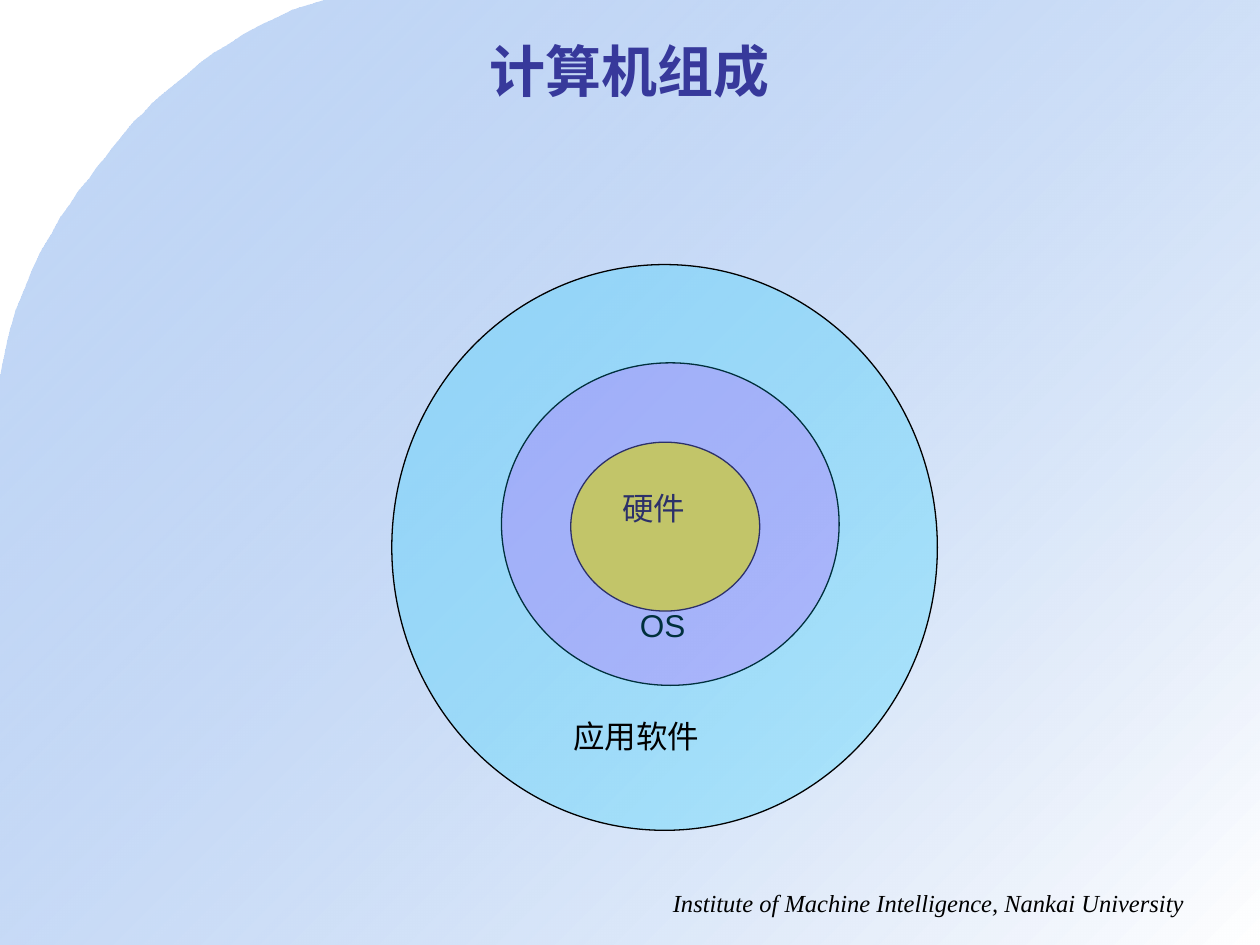
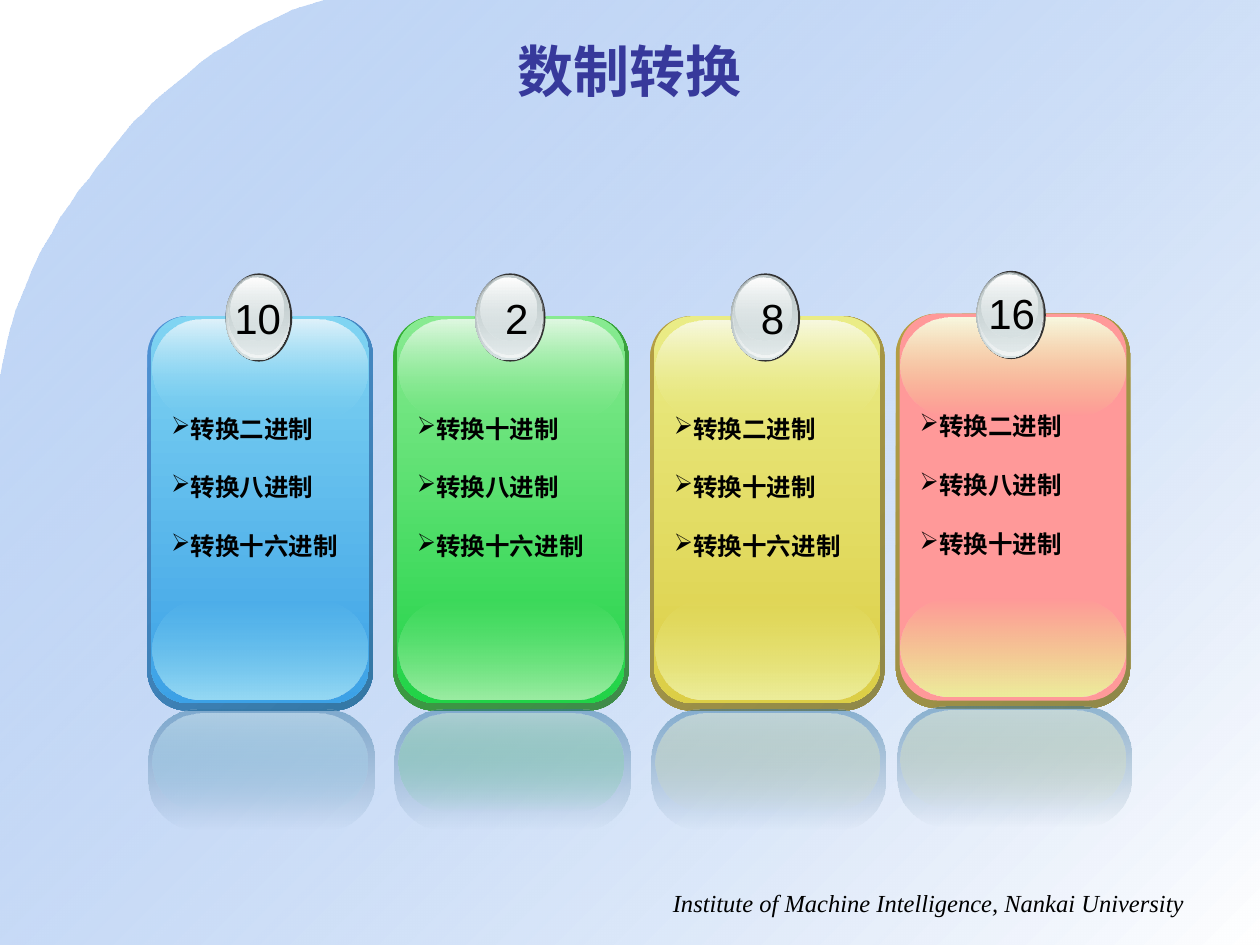
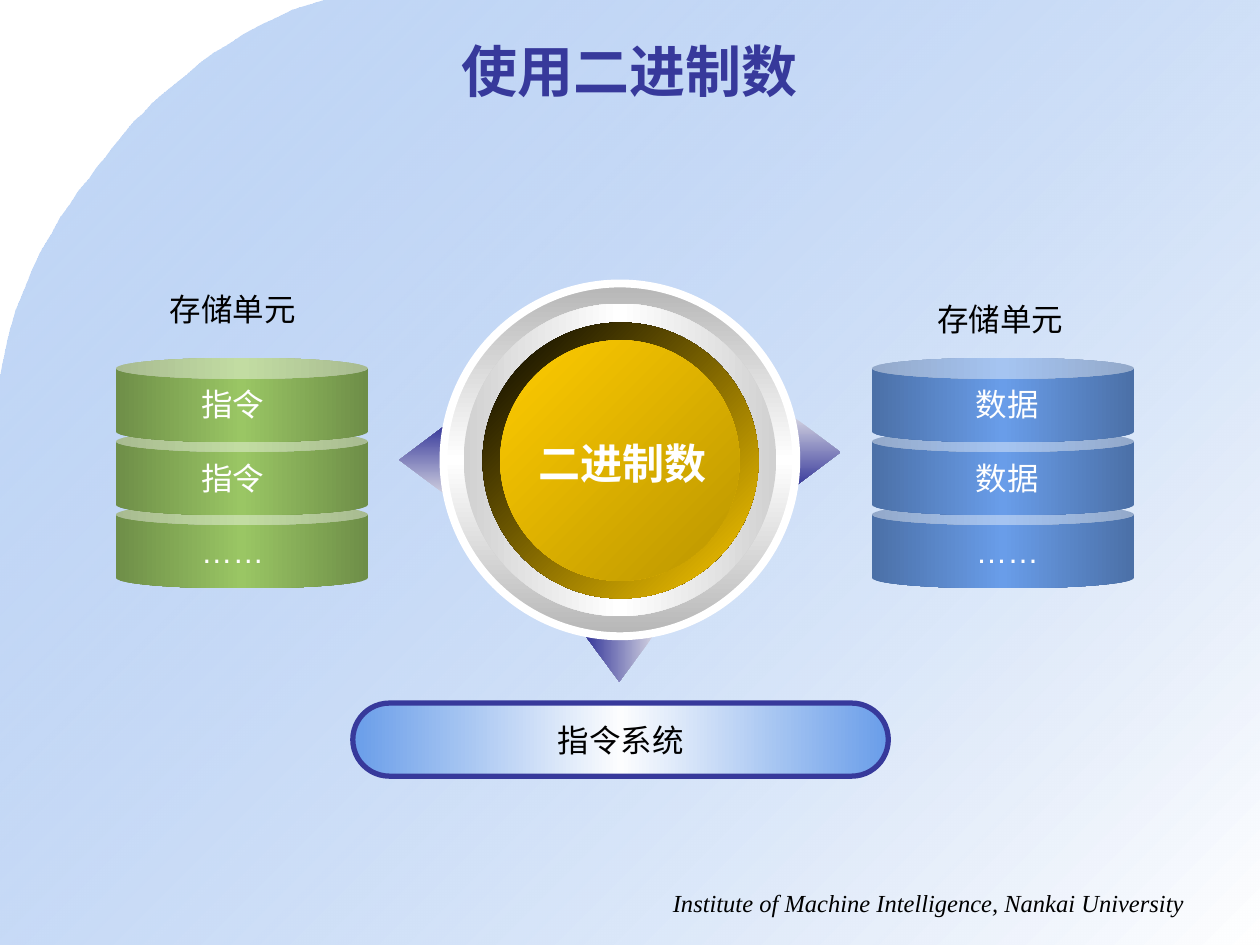
"""Build three slides on computer structure, number bases and binary storage."""
from dataclasses import dataclass

from lxml import etree
from pptx import Presentation
from pptx.dml.color import RGBColor
from pptx.enum.shapes import MSO_SHAPE
from pptx.enum.text import MSO_ANCHOR, PP_ALIGN
from pptx.oxml.ns import qn
from pptx.util import Pt

PX = 9144
BLANK_LAYOUT = 6
ELLIPSE = MSO_SHAPE.OVAL
ROUNDED = MSO_SHAPE.ROUNDED_RECTANGLE
CAN = MSO_SHAPE.CAN
UP_ARROW = MSO_SHAPE.UP_ARROW
LEFT, CENTER, RIGHT = PP_ALIGN.LEFT, PP_ALIGN.CENTER, PP_ALIGN.RIGHT
TOP, MIDDLE = MSO_ANCHOR.TOP, MSO_ANCHOR.MIDDLE


@dataclass(frozen=True)
class Theme:
    """Colours, fonts and type sizes; a colour may carry /opacity in percent."""
    title: str = "37399B"
    ink: str = "000000"
    paper: str = "FFFFFF"
    backdrop: tuple = ("699DE9/39", "FFFFFF")
    body_font: str = "Arial"
    list_font: str = "DejaVu Sans"
    footer_font: str = "Times New Roman"
    title_size: int = 32
    large_size: int = 24
    body_size: int = 18
    small_size: int = 14
    hardware: str = "FFFF00"
    system: str = "FF00FF/23"
    software: str = "00CCFF/24"
    reflection: tuple = ("3477A4/50", "255575/0")
    arrow: tuple = ("CFCFDF", "37399B")
    instruction: tuple = ("6E8E48", "9AC664", "6E8E48")
    data: tuple = ("4B70A7", "699DE9", "4B70A7")
    bar: tuple = ("699DE9", "FCFDFE", "699DE9")


@dataclass(frozen=True)
class Palette:
    """Colours of one glossy card."""
    edge: tuple
    face: tuple
    glow: str
    lower: str
    upper: str
    mirror: tuple


@dataclass(frozen=True)
class Card:
    """Place, number and conversions of one card."""
    left: int
    top: int
    width: int
    number: str
    number_box: tuple
    targets: tuple
    palette: Palette


THEME = Theme()
BLUE = Palette(("4E91D4", "3477A4"), ("80D4F2", "3CA1E6"), "80D4F2",
               "97DAF4", "DFF2FB", ("DFF2FB/50", "80D4F2/0"))
GREEN = Palette(("34B034", "3F8B4A"), ("88EA91", "21D347"), "88EA91",
                "9DEDA4", "E0F8E2", ("D6F1D8/50", "21D347/0"))
YELLOW = Palette(("B59F43", "8F8849"), ("EAEC86", "DCCE46"), "EAEC86",
                 "EDEE9C", "F8F9E0", ("F8F9E0/50", "EAEC86/0"))
RED = Palette(YELLOW.edge, ("FF9999",), YELLOW.glow,
              YELLOW.lower, YELLOW.upper, YELLOW.mirror)

TO_BINARY, TO_OCTAL = "转换二进制", "转换八进制"
TO_DECIMAL, TO_HEX = "转换十进制", "转换十六进制"
CARDS = (
    Card(117, 251, 179, "10", (174, 227, 61, 50),
         (TO_BINARY, TO_OCTAL, TO_HEX), BLUE),
    Card(312, 251, 187, "2", (391, 227, 31, 50),
         (TO_DECIMAL, TO_OCTAL, TO_HEX), GREEN),
    Card(516, 251, 186, "8", (594, 227, 30, 50),
         (TO_BINARY, TO_DECIMAL, TO_HEX), YELLOW),
    Card(711, 249, 186, "16", (773, 223, 60, 50),
         (TO_BINARY, TO_OCTAL, TO_DECIMAL), RED),
)
BADGE_LAYERS = (
    (0, 0, 0, 70, ("333333",)),
    (0, 1, 2, 68, ("99A1A2", "D6E1E2")),
    (1, 1, 3, 66, ("D6E1E2/0", "F2F5F5")),
    (2, 2, 5, 62, ("C1CBCC", "D6E1E2/48")),
    (4, 3, 11, 50, ("FFFFFF", "D6E1E2/38")),
)
DIAL_RINGS = (
    ((368, 241, 248, 248), ("D1D1D1", "FFFFFF", "D1D1D1"), 0),
    ((383, 256, 219, 219), ("000000", "FFCC00"), 45),
    ((397, 270, 190, 191), ("FFCC00", "BA9500"), 45),
)


def emu(*lengths):
    """Turn px lengths into EMU."""
    return [length * PX for length in lengths]


def set_opacity(color_element, opacity):
    """Add an opacity in percent to a colour element."""
    if opacity:
        alpha = etree.SubElement(color_element, qn("a:alpha"))
        alpha.set("val", str(int(opacity) * 1000))


def paint(shape, stops, angle=90):
    """Fill a shape with one colour or an evenly spaced clockwise gradient."""
    properties = shape.element.spPr
    if len(stops) == 1:
        color, _, opacity = stops[0].partition("/")
        shape.fill.solid()
        shape.fill.fore_color.rgb = RGBColor.from_string(color)
        set_opacity(properties.find(".//" + qn("a:srgbClr")), opacity)
        return
    shape.fill.gradient()
    shape.fill.gradient_angle = -angle % 360
    stop_list = properties.find(".//" + qn("a:gsLst"))
    for old_stop in list(stop_list):
        stop_list.remove(old_stop)
    for index, stop in enumerate(stops):
        color, _, opacity = stop.partition("/")
        stop_element = etree.SubElement(stop_list, qn("a:gs"))
        stop_element.set("pos", str(100000 * index // (len(stops) - 1)))
        color_element = etree.SubElement(stop_element, qn("a:srgbClr"))
        color_element.set("val", color)
        set_opacity(color_element, opacity)


def add_shape(shapes, kind, box, stops, angle=90, adjustments=(), line=None,
              line_width=0.75, rotation=0):
    """Add a painted preset shape without shadow."""
    shape = shapes.add_shape(kind, *emu(*box))
    shape.shadow.inherit = False
    shape.rotation = rotation
    for index, value in enumerate(adjustments):
        shape.adjustments[index] = value
    paint(shape, stops, angle)
    if line:
        shape.line.color.rgb = RGBColor.from_string(line)
        shape.line.width = Pt(line_width)
    else:
        shape.line.fill.background()
    return shape


def write_text(shape, text, size=THEME.body_size, font=THEME.body_font,
               color=THEME.ink, bold=False, italic=False, align=LEFT,
               anchor=TOP, spacing=None, bullet=None, wrap=True):
    """Write one paragraph per line of text in a single format."""
    frame = shape.text_frame
    frame.word_wrap = wrap
    frame.vertical_anchor = anchor
    frame.text = text
    for paragraph in frame.paragraphs:
        paragraph.alignment = align
        if spacing:
            paragraph.line_spacing = spacing
        if bullet:
            marker = etree.SubElement(
                paragraph._p.get_or_add_pPr(), qn("a:buChar"))
            marker.set("char", bullet)
        for run in paragraph.runs:
            run.font.size = Pt(size)
            run.font.bold = bold
            run.font.italic = italic
            run.font.color.rgb = RGBColor.from_string(color)
            run.font.name = font
            east_asian = etree.SubElement(run.font._element, qn("a:ea"))
            east_asian.set("typeface", font)


def add_text(shapes, box, text, **text_format):
    """Add a text box."""
    write_text(shapes.add_textbox(*emu(*box)), text, **text_format)


def curve_points(start, first, second, end, steps=16):
    """Return points along a cubic curve after its start."""
    points = []
    for step in range(1, steps + 1):
        t = step / steps
        weights = ((1 - t) ** 3, 3 * t * (1 - t) ** 2,
                   3 * t ** 2 * (1 - t), t ** 3)
        points.append(tuple(
            sum(weight * value for weight, value in zip(weights, values))
            for values in zip(start, first, second, end)))
    return points


def add_slide(presentation, title):
    """Add a slide with the shared backdrop, footer and title."""
    slide = presentation.slides.add_slide(
        presentation.slide_layouts[BLANK_LAYOUT])
    start, bend, end = (258, 0), (98, 107), (0, 301)
    outline = curve_points(start, (190, 16), (116, 83), bend)
    outline += curve_points(bend, (80, 132), (16, 194), end)
    outline += [(0, 750), (1000, 750), (1000, 0)]
    builder = slide.shapes.build_freeform(*start, scale=PX)
    builder.add_line_segments(outline, close=True)
    backdrop = builder.convert_to_shape()
    backdrop.shadow.inherit = False
    backdrop.line.fill.background()
    paint(backdrop, THEME.backdrop, 45)
    add_text(slide.shapes, (483, 700, 467, 34),
             "Institute of Machine Intelligence, Nankai University",
             size=THEME.small_size, font=THEME.footer_font, italic=True,
             align=RIGHT)
    add_text(slide.shapes, (50, 25, 900, 62), title, size=THEME.title_size,
             color=THEME.title, bold=True, align=CENTER, anchor=MIDDLE)
    return slide


def add_layer(shapes, box, fill, label_box, label):
    """Add one outlined ellipse of the computer model and its label."""
    add_shape(shapes, ELLIPSE, box, (fill,), line=THEME.ink)
    add_text(shapes, label_box, label)


def add_badge(shapes, left, top, width):
    """Add a silver oval badge."""
    for inset, drop, trim, height, stops in BADGE_LAYERS:
        add_shape(shapes, ELLIPSE,
                  (left + inset, top + drop, width - trim, height), stops)


def add_card(slide, card):
    """Add a glossy card with its reflection, badge and list."""
    palette = card.palette
    clear_glow = palette.glow + "/0"
    layers = (
        (0, 0, 0, 313, 0.175, palette.edge, 45),
        (3, 0, 6, 307, 0.167, palette.face, 90),
        (4, 226, 8, 78, 0.5, (clear_glow, palette.lower), 90),
        (4, 3, 8, 78, 0.5, (palette.upper, clear_glow), 90),
        (1, 312, 0, 95, 0.404, THEME.reflection, 90),
        (4, 315, 8, 78, 0.5, palette.mirror, 90),
    )
    shapes = slide.shapes.add_group_shape().shapes
    for inset, drop, trim, height, corner, stops, angle in layers:
        box = (card.left + inset, card.top + drop, card.width - trim, height)
        add_shape(shapes, ROUNDED, box, stops, angle, (corner,))
    add_badge(shapes, card.left + round(card.width * 0.346), card.top - 34,
              round(card.width * 0.298))
    add_text(slide.shapes, card.number_box, card.number,
             size=THEME.large_size, align=CENTER)
    add_text(slide.shapes, (card.left + 9, card.top + 49, card.width - 9, 144),
             "\n".join(card.targets), size=THEME.small_size,
             font=THEME.list_font, bold=True, spacing=2.0, bullet="➢")


def add_dial(slide):
    """Add the central dial with its three pointers."""
    shapes = slide.shapes.add_group_shape().shapes
    for box, rotation in (((308, 347, 54, 36), 270),
                          ((622, 341, 54, 36), 90),
                          ((465, 505, 53, 36), 180)):
        add_shape(shapes, UP_ARROW, box, THEME.arrow, 0, (0.517, 1),
                  rotation=rotation)
    add_shape(shapes, ELLIPSE, (352, 225, 280, 280),
              ("B6B6B6", "FFFFFF", "B6B6B6"), line=THEME.paper, line_width=4.5)
    for box, stops, angle in DIAL_RINGS:
        add_shape(shapes, ELLIPSE, box, stops, angle)
    add_text(slide.shapes, (416, 342, 156, 50), "二进制数",
             size=THEME.large_size, color=THEME.paper, bold=True,
             align=CENTER, wrap=False)


def add_storage(slide, left, width, label_left, label, stops, heading_box):
    """Add a stack of three labelled cans under a heading."""
    tops = [400 - 58 * level for level in range(3)]
    for top in tops:
        add_shape(slide.shapes, CAN, (left, top, width, 67), stops, 0, (0.25,))
    for top, text in zip(tops, ("……", label, label)):
        add_text(slide.shapes, (label_left, top + 17, 71, 40), text,
                 color=THEME.paper, align=CENTER, wrap=False)
    add_text(slide.shapes, heading_box, "存储单元")


def build_structure(presentation):
    """Build the slide of nested computer layers."""
    shapes = add_slide(presentation, "计算机组成").shapes
    add_layer(shapes, (453, 351, 150, 134), THEME.hardware,
              (484, 383, 118, 58), "硬件")
    add_layer(shapes, (398, 288, 268, 256), THEME.system,
              (498, 476, 142, 58), "OS")
    add_layer(shapes, (311, 210, 433, 449), THEME.software,
              (445, 564, 213, 58), "应用软件")


def build_conversion(presentation):
    """Build the slide of number base cards."""
    slide = add_slide(presentation, "数制转换")
    for card in CARDS:
        add_card(slide, card)


def build_binary(presentation):
    """Build the slide of binary storage."""
    slide = add_slide(presentation, "使用二进制数")
    add_dial(slide)
    add_storage(slide, 92, 200, 149, "指令", THEME.instruction,
                (125, 225, 133, 40))
    add_storage(slide, 692, 208, 764, "数据", THEME.data,
                (734, 233, 133, 40))
    bar = add_shape(slide.shapes, ROUNDED, (280, 558, 425, 58), THEME.bar, 0,
                    (0.5,), line=THEME.title, line_width=3)
    write_text(bar, "指令系统", font=THEME.list_font, align=CENTER,
               anchor=MIDDLE, wrap=False)


def main():
    """Build and save the presentation."""
    presentation = Presentation()
    presentation.slide_width, presentation.slide_height = emu(1000, 750)
    build_structure(presentation)
    build_conversion(presentation)
    build_binary(presentation)
    presentation.save("out.pptx")


if __name__ == "__main__":
    main()
